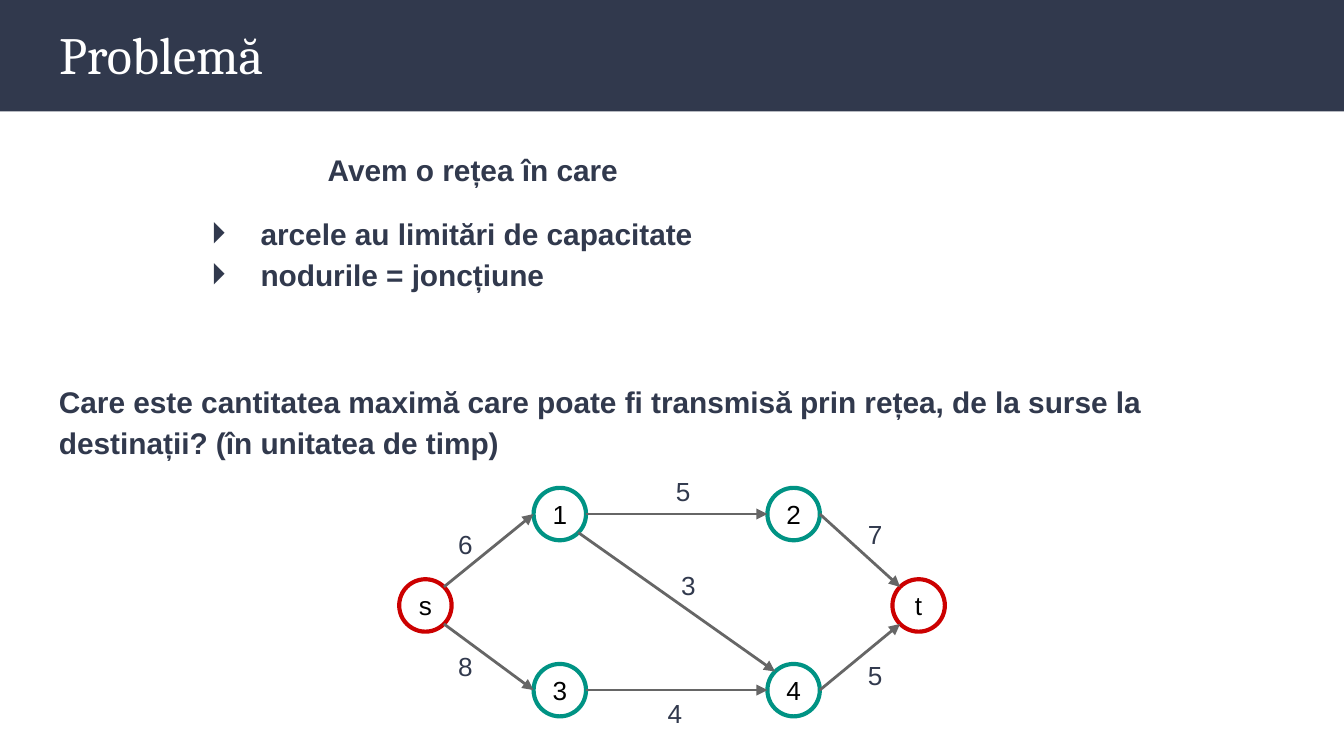
from math import cos, radians, sin

from lxml.etree import SubElement
from pptx import Presentation
from pptx.dml.color import RGBColor
from pptx.enum.shapes import MSO_CONNECTOR, MSO_SHAPE
from pptx.enum.text import MSO_ANCHOR, PP_ALIGN
from pptx.oxml.ns import qn
from pptx.util import Inches, Pt

NAVY, RED, TEAL, GRAY = "31394D", "CC0000", "009384", "666666"
WHITE, BLACK = "FFFFFF", "000000"
DIAMETER = 0.39
RADIUS = DIAMETER / 2


def color(value):
    return RGBColor.from_string(value)


def set_font(paragraph, size, value, name="Arial", bold=False):
    font = paragraph.font
    font.size, font.name, font.bold = Pt(size), name, bold
    font.color.rgb = color(value)


# A 16:9 slide
presentation = Presentation()
presentation.slide_width = Inches(10)
presentation.slide_height = Inches(10) * 9 // 16
slide = presentation.slides.add_slide(presentation.slide_layouts[5])
shapes = slide.shapes

# Title on a dark band
title = shapes.title
title.left, title.top = Inches(0.34), Inches(0.06)
title.width, title.height = Inches(9.32), Inches(0.68)
title.text_frame.text = "Problemă"
title.text_frame.vertical_anchor = MSO_ANCHOR.MIDDLE
title.text_frame.paragraphs[0].alignment = PP_ALIGN.LEFT
set_font(title.text_frame.paragraphs[0], 28, WHITE, "Cambria")

band = shapes.add_shape(MSO_SHAPE.RECTANGLE, 0, 0, Inches(10), Inches(0.83))
band.shadow.inherit = False
band.fill.solid()
band.fill.fore_color.rgb = color(NAVY)
band.line.fill.background()
title._element.addprevious(band._element)  # behind the title

# Problem statement: text, left margin, bulleted, space before
statement = [
    ("Avem o rețea în care", 2, False, 0),
    ("arcele au limitări de capacitate", 1.5, True, 12),
    ("nodurile = joncțiune", 1.5, True, 0),
    ("Care este cantitatea maximă care poate fi transmisă prin rețea, "
     "de la surse la destinații? (în unitatea de timp)", 0, False, 46),
]
body = shapes.add_textbox(Inches(0.34), Inches(0.99), Inches(9.32), Inches(4.11)).text_frame
body.word_wrap = True
body.margin_left = body.margin_right = body.margin_top = body.margin_bottom = Inches(0.1)
for index, (text, margin, bulleted, space) in enumerate(statement):
    paragraph = body.paragraphs[0] if index == 0 else body.add_paragraph()
    paragraph.text = text
    paragraph.line_spacing = 1.15
    paragraph.space_before = Pt(space)
    properties = paragraph._p.get_or_add_pPr()
    properties.set("marL", str(Inches(margin)))
    properties.set("indent", str(Inches(-0.37) if bulleted else 0))
    if bulleted:
        bullet_color = SubElement(properties, qn("a:buClr"))
        SubElement(bullet_color, qn("a:srgbClr"), val=NAVY)
        SubElement(properties, qn("a:buFont"), typeface="Arial")
        SubElement(properties, qn("a:buChar"), char="⏵")
    set_font(paragraph, 16, NAVY, bold=True)

# Network nodes: left, top and outline colour
nodes = {
    "s": (2.97, 4.31, RED),
    "1": (3.97, 3.63, TEAL),
    "2": (5.71, 3.63, TEAL),
    "3": (3.97, 4.94, TEAL),
    "4": (5.71, 4.94, TEAL),
    "t": (6.64, 4.31, RED),
}
for name, (left, top, outline) in nodes.items():
    node = shapes.add_shape(MSO_SHAPE.OVAL, Inches(left), Inches(top),
                            Inches(DIAMETER), Inches(DIAMETER))
    node.shadow.inherit = False
    node.fill.background()
    node.line.color.rgb = color(outline)
    node.line.width = Pt(2.25)
    frame = node.text_frame
    frame.margin_left = frame.margin_right = frame.margin_top = frame.margin_bottom = Inches(0.02)
    frame.vertical_anchor = MSO_ANCHOR.MIDDLE
    frame.text = name
    frame.paragraphs[0].alignment = PP_ALIGN.CENTER
    set_font(frame.paragraphs[0], 14, BLACK)

# Arcs: nodes, angles (clockwise from the right) where they leave and arrive,
# capacity and the position of its label
arcs = [
    ("s", -45, "1", 180, "6", 3.31, 3.83),
    ("1", 0, "2", 180, "5", 4.93, 3.44),
    ("2", 0, "t", 225, "7", 6.36, 3.76),
    ("s", 45, "3", 180, "8", 3.31, 4.74),
    ("3", 0, "4", 180, "4", 4.87, 5.09),
    ("4", 0, "t", 135, "5", 6.36, 4.81),
    ("1", 45, "4", 225, "3", 4.97, 4.14),
]
for source, leave, target, arrive, capacity, label_left, label_top in arcs:
    ends = []
    for name, angle in ((source, leave), (target, arrive)):
        left, top, _ = nodes[name]
        ends += [Inches(left + RADIUS * (1 + cos(radians(angle)))),
                 Inches(top + RADIUS * (1 + sin(radians(angle))))]
    arc = shapes.add_connector(MSO_CONNECTOR.STRAIGHT, *ends)
    arc.line.color.rgb = color(GRAY)
    arc.line.width = Pt(1.5)
    SubElement(arc.line._get_or_add_ln(), qn("a:tailEnd"), type="triangle")
    SubElement(arc._element.spPr, qn("a:effectLst"))

    label = shapes.add_textbox(Inches(label_left), Inches(label_top),
                               Inches(0.33), Inches(0.44)).text_frame
    label.word_wrap = True
    label.margin_left = label.margin_right = label.margin_top = label.margin_bottom = Inches(0.1)
    label.text = capacity
    set_font(label.paragraphs[0], 14, NAVY)

presentation.save("out.pptx")
